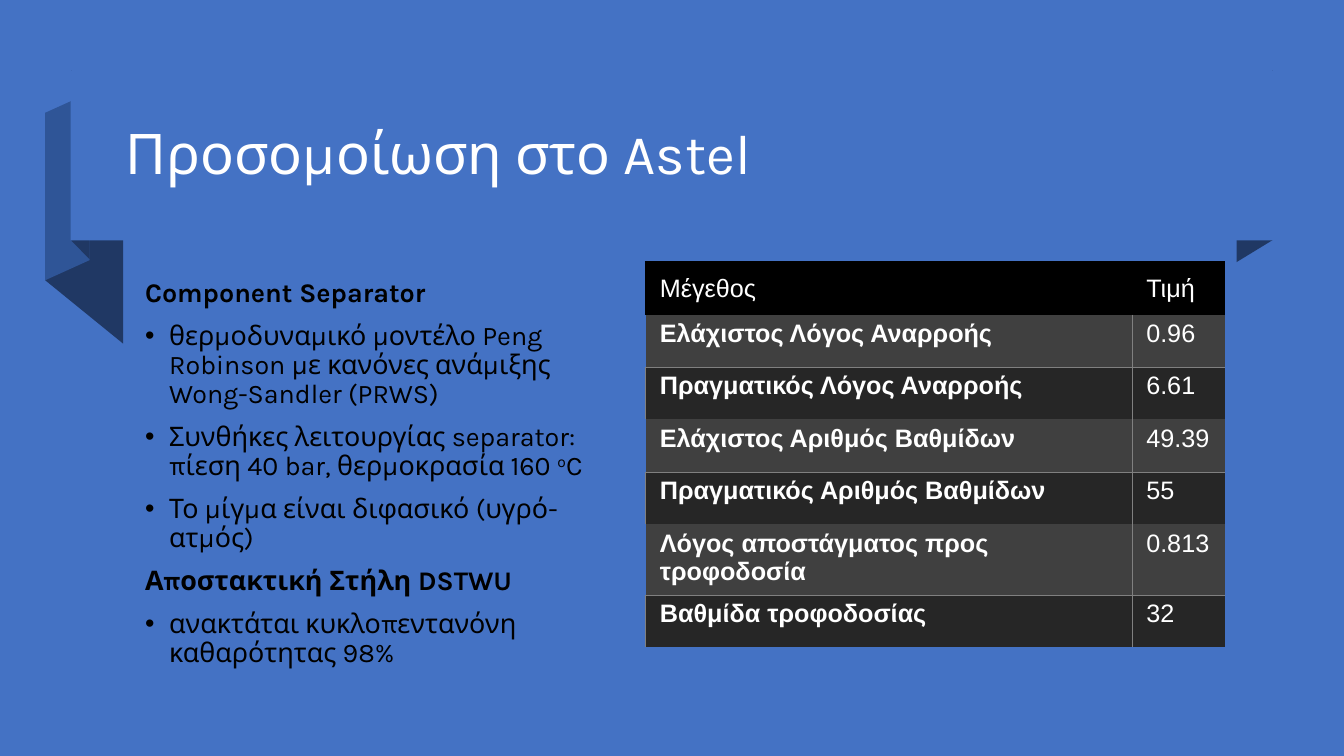
from lxml import etree
from pptx import Presentation
from pptx.dml.color import RGBColor
from pptx.enum.shapes import MSO_SHAPE
from pptx.enum.text import MSO_ANCHOR, PP_ALIGN
from pptx.oxml.ns import qn
from pptx.util import Pt

RECTANGLE = MSO_SHAPE.RECTANGLE
TOP, MIDDLE = MSO_ANCHOR.TOP, MSO_ANCHOR.MIDDLE
LEFT = PP_ALIGN.LEFT

BLUE = RGBColor(0x44, 0x72, 0xC4)
MID_BLUE = RGBColor(0x2F, 0x55, 0x97)
NAVY = RGBColor(0x20, 0x38, 0x64)
BLACK = RGBColor(0, 0, 0)
WHITE = RGBColor(0xFF, 0xFF, 0xFF)
LIGHT_ROW = RGBColor(0x40, 0x40, 0x40)
DARK_ROW = RGBColor(0x26, 0x26, 0x26)
GRID = RGBColor(0x80, 0x80, 0x80)

SLIDE_WIDTH, SLIDE_HEIGHT = 960, 540
BORDER_SIDES = ("L", "R", "T", "B")
HEADER_BORDERS = ("LT", "T")
LIGHT_BORDERS = ("RB", "LB")
DARK_BORDERS = ("LTR", "LT")

RIBBON_FOLDS = [
    (NAVY, [(909.3, 171.4), (883.4, 187.2), (883.4, 65.5), (909.3, 50.4)]),
    (NAVY, [(88, 245.5), (32.3, 200.2), (32.3, 80.6), (88, 126)]),
    (MID_BLUE, [(64.1, 185.8), (32.3, 200.2), (32.3, 80.6), (64.1, 66.2)]),
    (NAVY, [(64.1, 185.2), (51, 172), (51, 50.4), (64.1, 64.1)]),
]
SECTIONS = [
    ("Component Separator", [
        "θερμοδυναμικό μοντέλο Peng Robinson με κανόνες ανάμιξης Wong-Sandler (PRWS)",
        "Συνθήκες λειτουργίας separator: πίεση 40 bar, θερμοκρασι\u0301α 160 ^o^C",
        "Το μίγμα είναι διφασικό (υγρό-ατμός)",
    ]),
    ("Αποστακτική Στήλη DSTWU", ["ανακτάται κυκλοπεντανόνη καθαρότητας 98%"]),
]
RESULTS = [
    ("Μέγεθος", "Τιμή"),
    ("Ελάχιστος Λόγος Αναρροής", "0.96"),
    ("Πραγματικός Λόγος Αναρροής", "6.61"),
    ("Ελάχιστος Αριθμός Βαθμίδων", "49.39"),
    ("Πραγματικός Αριθμός Βαθμίδων", "55"),
    ("Λόγος αποστάγματος προς τροφοδοσία", "0.813"),
    ("Βαθμίδα τροφοδοσίας", "32"),
]


class SlideBuilder:
    text_font = "Karla"
    table_font = "Arial"
    title_size, body_size, table_size = 40, 19.2, 18
    line_spacing = 0.9
    bullet_indent = 17.3

    def __init__(self, presentation):
        self.slide = presentation.slides.add_slide(presentation.slide_layouts[5])

    def format_run(self, run, font_name, size, color, bold=False):
        run.font.name = font_name
        run.font.size = Pt(size)
        run.font.color.rgb = color
        run.font.bold = bold

    def paint(self, shape, color):
        shape.shadow.inherit = False
        shape.fill.solid()
        shape.fill.fore_color.rgb = color
        shape.line.fill.background()

    def rectangle(self, shapes, left, top, width, height, color):
        shape = shapes.add_shape(RECTANGLE, Pt(left), Pt(top), Pt(width), Pt(height))
        self.paint(shape, color)

    def polygon(self, shapes, points, color):
        corners = [(Pt(x), Pt(y)) for x, y in points]
        builder = shapes.build_freeform(*corners[0], scale=1.0)
        builder.add_line_segments(corners[1:], close=True)
        self.paint(builder.convert_to_shape(), color)

    def ribbon(self):
        shapes = self.slide.shapes.add_group_shape().shapes
        for color, points in RIBBON_FOLDS:
            self.polygon(shapes, points, color)
        self.rectangle(shapes, 50.4, 50.4, 859, 121.4, BLUE)

    def title(self, text, left, top, width, height):
        title = self.slide.shapes.title
        title.left, title.top = Pt(left), Pt(top)
        title.width, title.height = Pt(width), Pt(height)
        self.slide.shapes.element.append(title.element)
        title.text_frame.text = text
        title.text_frame.vertical_anchor = MIDDLE
        paragraph = title.text_frame.paragraphs[0]
        paragraph.alignment = LEFT
        paragraph.line_spacing = self.line_spacing
        self.format_run(paragraph.runs[0], self.text_font, self.title_size, WHITE)

    def add_bullet(self, paragraph):
        properties = paragraph._p.get_or_add_pPr()
        properties.set("marL", str(Pt(self.bullet_indent)))
        properties.set("indent", str(-Pt(self.bullet_indent)))
        font = etree.SubElement(properties, qn("a:buFont"))
        font.set("typeface", self.table_font)
        etree.SubElement(properties, qn("a:buChar")).set("char", "•")

    def body(self, sections, left, top, width, height):
        box = self.slide.shapes.add_textbox(Pt(left), Pt(top), Pt(width), Pt(height))
        frame = box.text_frame
        frame.word_wrap = True
        lines = []
        for heading, items in sections:
            lines.append((heading, True))
            lines.extend((item, False) for item in items)
        for index, (text, is_heading) in enumerate(lines):
            paragraph = frame.add_paragraph() if index else frame.paragraphs[0]
            paragraph.line_spacing = self.line_spacing
            paragraph.space_before = Pt(10)
            if not is_heading:
                self.add_bullet(paragraph)
            for part_index, part in enumerate(text.split("^")):
                run = paragraph.add_run()
                run.text = part
                self.format_run(run, self.text_font, self.body_size, BLACK, is_heading)
                if part_index % 2:
                    run.font._element.set("baseline", "30000")

    def borders(self, cell, visible_sides, color, width):
        properties = cell._tc.get_or_add_tcPr()
        for side in BORDER_SIDES:
            line = etree.SubElement(properties, qn(f"a:ln{side}"))
            if side in visible_sides:
                line.set("w", str(Pt(width)))
                fill = etree.SubElement(line, qn("a:solidFill"))
                etree.SubElement(fill, qn("a:srgbClr")).set("val", str(color))
            else:
                etree.SubElement(line, qn("a:noFill"))

    def cell(self, cell, text, fill, anchor, bold):
        cell.fill.solid()
        cell.fill.fore_color.rgb = fill
        cell.vertical_anchor = anchor
        cell.margin_left, cell.margin_right = Pt(10.2), Pt(2.2)
        cell.margin_top = cell.margin_bottom = Pt(3.6)
        cell.text_frame.text = text
        run = cell.text_frame.paragraphs[0].runs[0]
        self.format_run(run, self.table_font, self.table_size, WHITE, bold)

    def table(self, rows, left, top, column_widths, row_height):
        frame = self.slide.shapes.add_table(
            len(rows), len(column_widths), Pt(left), Pt(top),
            Pt(sum(column_widths)), Pt(row_height * len(rows)))
        table = frame.table
        for column, width in zip(table.columns, column_widths):
            column.width = Pt(width)
        for row_index, values in enumerate(rows):
            table.rows[row_index].height = Pt(row_height)
            is_header = row_index == 0
            if is_header:
                fill, sides, color, width = BLACK, HEADER_BORDERS, BLACK, 1.5
            elif row_index % 2:
                fill, sides, color, width = LIGHT_ROW, LIGHT_BORDERS, GRID, 0.5
            else:
                fill, sides, color, width = DARK_ROW, DARK_BORDERS, GRID, 0.5
            anchor = MIDDLE if is_header else TOP
            for column_index, text in enumerate(values):
                cell = table.cell(row_index, column_index)
                self.borders(cell, sides[column_index], color, width)
                bold = column_index == 0 and not is_header
                self.cell(cell, text, fill, anchor, bold)


presentation = Presentation()
presentation.slide_width = Pt(SLIDE_WIDTH)
presentation.slide_height = Pt(SLIDE_HEIGHT)
builder = SlideBuilder(presentation)
builder.rectangle(builder.slide.shapes, 0, 0, SLIDE_WIDTH, SLIDE_HEIGHT, BLUE)
builder.ribbon()
builder.title("Προσομοίωση στο Astel", 82.8, 59.8, 811.4, 104.4)
builder.body(SECTIONS, 96.5, 195.8, 349.2, 283.7)
builder.table(RESULTS, 461.2, 187.2, (347.4, 66.4), 37.5)
presentation.save("out.pptx")
